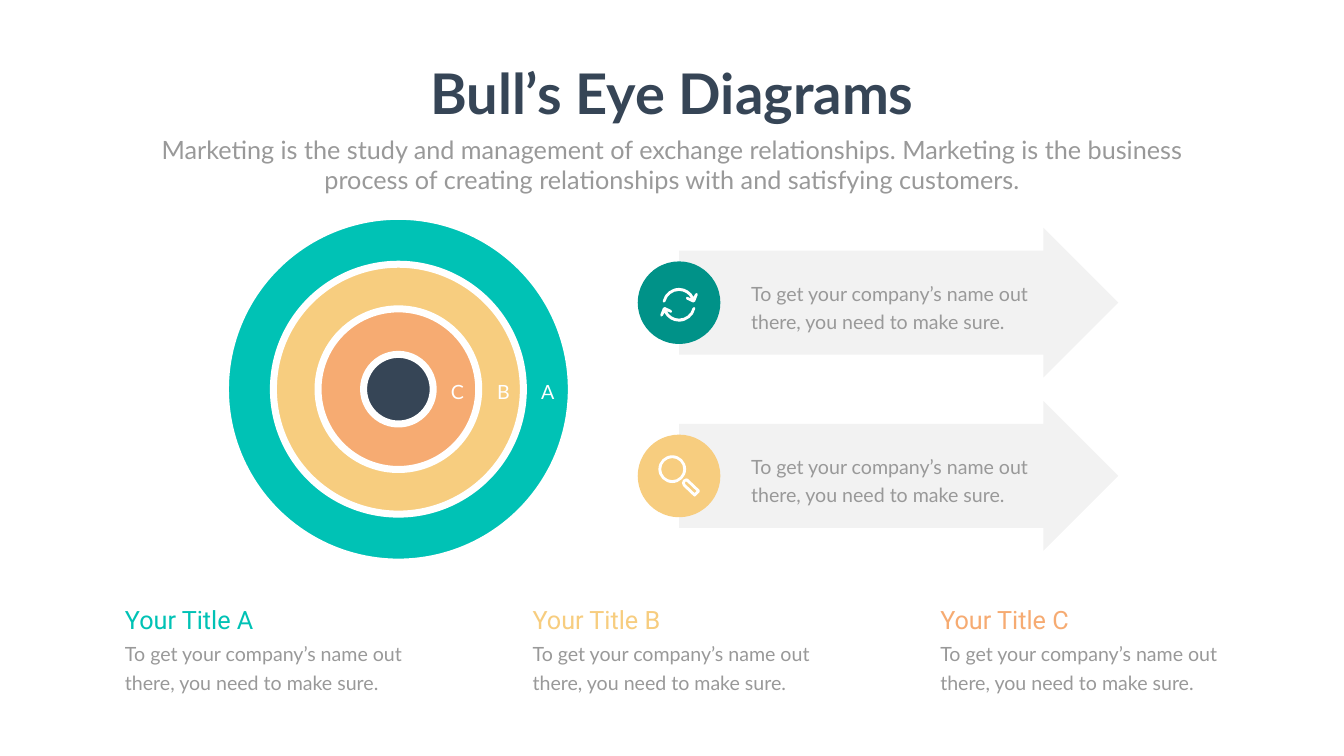
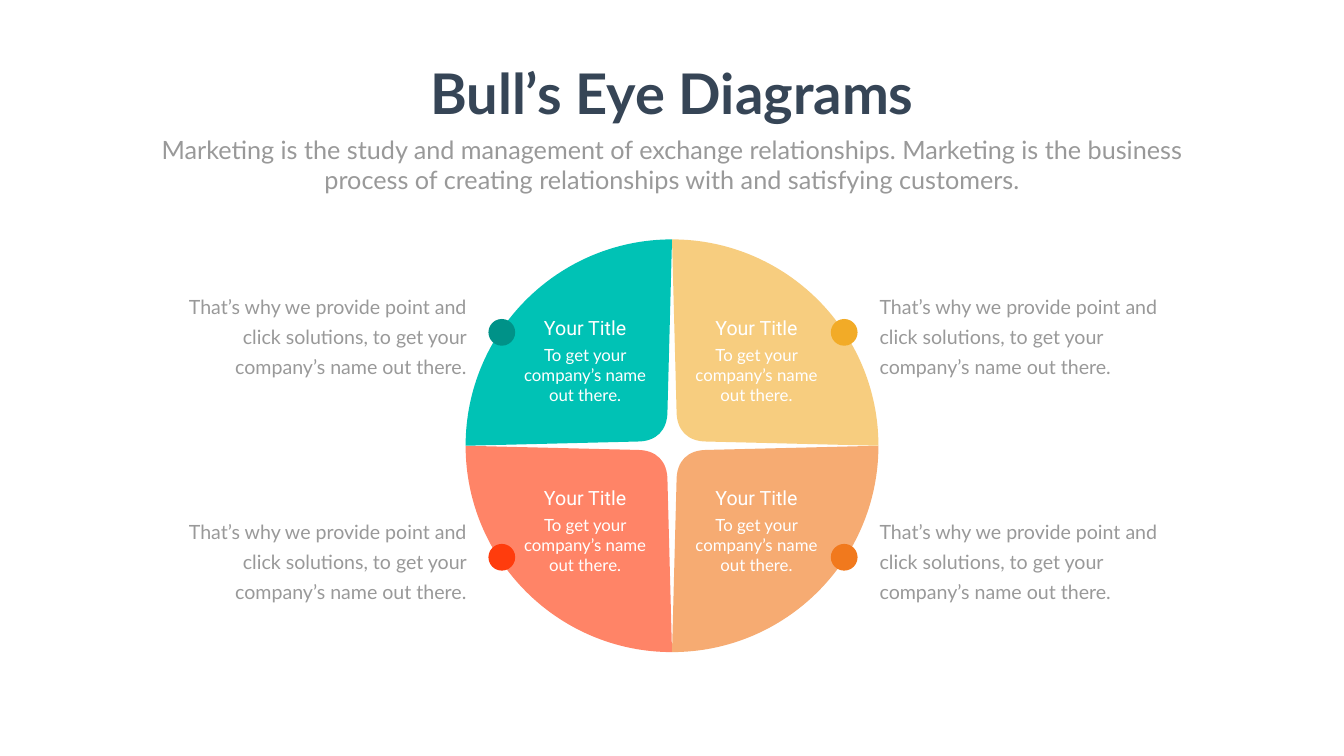
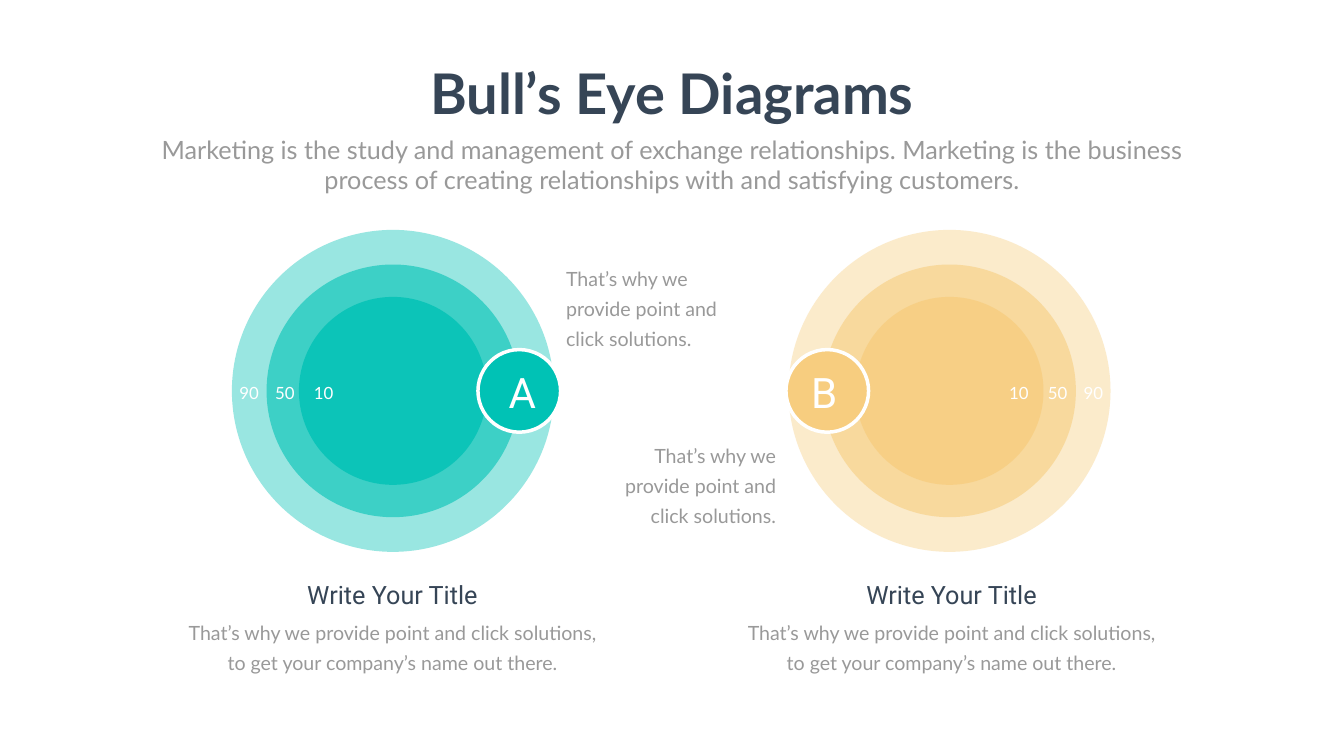
from dataclasses import dataclass
from typing import NamedTuple, Optional

from lxml.etree import Element, SubElement
from pptx import Presentation
from pptx.dml.color import RGBColor
from pptx.enum.shapes import MSO_SHAPE as SHAPE
from pptx.enum.text import MSO_ANCHOR as ANCHOR, MSO_AUTO_SIZE as AUTO, PP_ALIGN as ALIGN
from pptx.oxml.ns import qn
from pptx.util import Pt

TEAL, SAND, PEACH, CORAL = "00C2B5", "F7CD7F", "F6AB72", "FF8467"
DARK_TEAL, NAVY, GRAY, WHITE = "009288", "364556", "999999", "FFFFFF"
TITLE = "Bull’s Eye Diagrams"
SUBTITLE = (
    "Marketing is the study and management of exchange relationships. Marketing is the "
    "business process of creating relationships with and satisfying customers."
)
NAME_OUT = "To get your company’s name out there, you need to make sure."
SOLUTIONS = "That’s why we provide point and click solutions"
SOLUTIONS_LONG = f"{SOLUTIONS}, to get your company’s name out there."
TIGHT, LOOSE = 40.8, 43


class Box(NamedTuple):
    x: float
    y: float
    w: float
    h: float


class Contour(NamedTuple):
    start: tuple
    segments: list


@dataclass
class Style:
    size: float
    color: str
    font: str = "Lato"
    bold: bool = False


@dataclass
class Ring:
    diameter: float
    color: str


@dataclass
class Quadrant:
    side: int
    row: int
    fill: str
    dot: str


@dataclass
class Target:
    letter: str
    color: str
    center: float
    side: int
    badge: float
    caption: float
    number_width: float


BODY = Style(28, GRAY)

QUARTER = Contour((0, -294.8), [
    (-162.7, -294.8, -294.8, -162.7, -294.8, 0),
    (-49.7, -6),
    (-22.3, -6, -6.5, -22, -6.5, -49.3),
])
CYCLE_ARROW = Contour((25.9, -16.9), [
    (24.5, -16.9, 23.8, -16.9, 23, -15.5),
    (20.9, -11.2),
    (17.3, -18.4, 9.4, -24.1, 0, -24.1),
    (-10.8, -24.1, -20.9, -16.2, -23, -6.1),
    (-23.8, -4.7, -23, -4, -21.6, -3.2),
    (-20.2, -3.2, -19.4, -4, -19.4, -4.7),
    (-17.3, -13.3, -9.4, -19.8, 0, -19.8),
    (7.2, -19.8, 14.4, -15.5, 17.3, -9),
    (12.2, -11.2),
    (11.5, -11.9, 10.1, -11.2, 10.1, -9.7),
    (9.4, -9, 10.1, -7.6, 10.8, -7.6),
    (20.2, -3.2),
    (21.6, -3.2, 22.3, -4, 23, -4.7),
    (26.6, -14),
    (27.4, -14.8, 26.6, -16.2, 25.9, -16.9),
])
HANDLE = [
    Contour((10.1, 7.9), [
        (9.4, 7.9, 8.9, 8.2, 8.6, 8.6),
        (7.9, 9.4, 7.9, 10.8, 8.6, 11.5),
        (22.3, 24.5),
        (25.2, 21.6),
        (11.5, 8.6),
        (11.5, 7.9, 10.8, 7.9, 10.1, 7.9),
    ]),
    Contour((22.3, 29.5), [
        (21.6, 29.5, 20.9, 29.5, 20.9, 28.8),
        (5.8, 14.4),
        (3.6, 12.2, 3.6, 7.9, 5.8, 5.8),
        (7.2, 4.3, 8.6, 3.6, 10.1, 3.6),
        (12.2, 3.6, 13.7, 4.3, 14.4, 5.8),
        (29.5, 20.2),
        (30.2, 20.9, 30.2, 22.3, 29.5, 23),
        (23.8, 28.8),
        (23, 29.5, 23, 29.5, 22.3, 29.5),
    ]),
]


def round_contour(r: float) -> Contour:
    k = 0.55 * r
    return Contour((0, -r), [
        (-k, -r, -r, -k, -r, 0),
        (-r, k, -k, r, 0, r),
        (k, r, r, k, r, 0),
        (r, -k, k, -r, 0, -r),
    ])


LENS = [round_contour(15.8), round_contour(19.8)]


def rgb(color: str) -> RGBColor:
    return RGBColor.from_string(color)


def paint(sp, fill: str, alpha: int = 100, line: Optional[str] = None, width: float = 0) -> None:
    sp.shadow.inherit = False
    sp.fill.solid()
    sp.fill.fore_color.rgb = rgb(fill)
    if alpha < 100:
        clr = sp.element.spPr.find(qn("a:solidFill"))[0]
        SubElement(clr, qn("a:alpha")).set("val", str(alpha * 1000))
    if line:
        sp.line.color.rgb = rgb(line)
        sp.line.width = Pt(width)
    else:
        sp.line.fill.background()


def preset(slide, kind, box: Box, fill: str, **look):
    sp = slide.shapes.add_shape(kind, *map(Pt, box))
    paint(sp, fill, **look)
    return sp


def circle(slide, cx: float, cy: float, d: float, fill: str, **look) -> None:
    preset(slide, SHAPE.OVAL, Box(cx - d / 2, cy - d / 2, d, d), fill, **look)


def bend(sp, contours: list) -> None:
    lines = iter(list(sp.element.iter(qn("a:lnTo"))))
    for contour in contours:
        for seg in contour.segments:
            group = [next(lines) for _ in range(len(seg) // 2)]
            if len(group) == 3:
                curve = Element(qn("a:cubicBezTo"))
                group[0].addprevious(curve)
                for ln in group:
                    curve.append(ln[0])
                    ln.getparent().remove(ln)


def outline(slide, contours: list, cx: float, cy: float, fill: str, sx: int = 1, sy: int = 1) -> None:
    builder = None
    for contour in contours:
        pairs = [contour.start]
        for seg in contour.segments:
            pairs += zip(seg[::2], seg[1::2])
        points = [(Pt(cx + sx * x), Pt(cy + sy * y)) for x, y in pairs]
        if builder is None:
            builder = slide.shapes.build_freeform(*points[0])
        else:
            builder.move_to(*points[0])
        builder.add_line_segments(points[1:], close=False)
    sp = builder.convert_to_shape()
    bend(sp, contours)
    paint(sp, fill)


def write(tf, content: str, style: Style, align, spacing: Optional[float] = None) -> None:
    tf.text = content
    tf.auto_size = AUTO.SHAPE_TO_FIT_TEXT
    tf.vertical_anchor = ANCHOR.TOP
    p = tf.paragraphs[0]
    p.alignment = align
    if spacing:
        p.line_spacing = Pt(spacing)
    font = p.runs[0].font
    font.name, font.size, font.bold = style.font, Pt(style.size), style.bold
    font.color.rgb = rgb(style.color)


def text(slide, box: Box, content: str, style: Style = BODY, align=ALIGN.LEFT,
         spacing: Optional[float] = None) -> None:
    tf = slide.shapes.add_textbox(*map(Pt, box)).text_frame
    tf.word_wrap = True
    write(tf, content, style, align, spacing)


def label(slide, cx: float, y: float, w: float, h: float, content: str, style: Style,
          spacing: Optional[float] = None) -> None:
    text(slide, Box(cx - w / 2, y, w, h), content, style, ALIGN.CENTER, spacing)


def new_slide(prs):
    slide = prs.slides.add_slide(prs.slide_layouts[5])
    title = slide.shapes.title
    title.left, title.top, title.width, title.height = map(Pt, Box(600.5, 80.6, 718.6, 104.4))
    write(title.text_frame, TITLE, Style(80, NAVY, bold=True), ALIGN.CENTER)
    title.text_frame.word_wrap = False
    text(slide, Box(210.2, 187.9, 1499, 94.3), SUBTITLE, Style(36, GRAY), ALIGN.CENTER)
    return slide


def cycle_icon(slide, cx: float, cy: float) -> None:
    for sign in (1, -1):
        outline(slide, [CYCLE_ARROW], cx, cy, WHITE, sign, sign)


def search_icon(slide, cx: float, cy: float) -> None:
    outline(slide, HANDLE, cx, cy, WHITE)
    outline(slide, LENS, cx - 9.7, cy - 9.7, WHITE)


def rings_slide(prs) -> None:
    slide = new_slide(prs)
    for i, (letter, color) in enumerate(zip("ABC", (TEAL, SAND, PEACH))):
        x = 171.4 + 582.2 * i
        text(slide, Box(x, 906.5, 411.8, 78.5), NAME_OUT, spacing=TIGHT)
        text(slide, Box(x, 859.7, 411.8, 51), f"Your Title {letter}", Style(36, color, "Roboto"))

    for ring in (Ring(494, TEAL), Ring(357, SAND), Ring(229.5, PEACH), Ring(99.5, NAVY)):
        circle(slide, 569, 556, ring.diameter, ring.color, line=WHITE, width=10)
    for letter, cx in zip("CBA", (653.4, 718.9, 782.3)):
        label(slide, cx, 539.3, 49.7, 41, letter, Style(28, WHITE))

    for i, (color, icon) in enumerate(((DARK_TEAL, cycle_icon), (SAND, search_icon))):
        x, y = 969.8, 325.5 + 247.5 * i
        arrow = preset(slide, SHAPE.RIGHT_ARROW, Box(x, y, 627.3, 213.8), "808080", alpha=10)
        arrow.adjustments[0], arrow.adjustments[1] = 0.696, 0.5
        cy = y + 106.9
        circle(slide, x, cy, 118, color)
        icon(slide, x, cy + 3 * (1 - i))
        text(slide, Box(1065.6, y + 66, 411.8, 78.5), NAME_OUT, spacing=TIGHT)


def quadrants_slide(prs) -> None:
    slide = new_slide(prs)
    quadrants = [
        Quadrant(-1, 1, CORAL, "FF3C0D"),
        Quadrant(-1, 0, TEAL, DARK_TEAL),
        Quadrant(1, 1, PEACH, "F1791D"),
        Quadrant(1, 0, SAND, "F2AB27"),
    ]
    for q in quadrants:
        outline(slide, [QUARTER], 959.8, 636.8, q.fill, -q.side, 1 - 2 * q.row)
    for q in quadrants:
        cx, y = 958 + 122.4 * q.side, 447.8 + 242.6 * q.row
        label(slide, cx, y + 41, 189.4, 94.3, "To get your company’s name out there.", Style(24, WHITE))
        label(slide, cx, y, 189.4, 41, "Your Title", Style(28, WHITE, "Roboto"))
        circle(slide, 961.2 + 244.5 * q.side, 474.8 + 321.3 * q.row, 38.2, q.dot)
        x, align = (1249.2, ALIGN.LEFT) if q.side > 0 else (208.1, ALIGN.RIGHT)
        text(slide, Box(x, 408.2 + 321.8 * q.row, 465.1, 132.5), SOLUTIONS_LONG, align=align, spacing=LOOSE)


def targets_slide(prs) -> None:
    slide = new_slide(prs)
    cy = 558.4
    targets = [
        Target("A", TEAL, 561.2, 1, 741.6, 560.5, 52.6),
        Target("B", SAND, 1356.1, -1, 1181.5, 1359, 62.6),
    ]
    for t in targets:
        for diameter, alpha in ((460, 40), (361, 60), (268.5, 80)):
            circle(slide, t.center, cy, diameter, t.color, alpha=alpha)
        for number, offset in (("10", 99), ("50", 154.5), ("90", 205.5)):
            label(slide, t.center - t.side * offset, 542.9, t.number_width, 36, number, Style(24, WHITE))
        circle(slide, t.badge, cy, 118, t.color, line=WHITE, width=5)
        label(slide, t.badge + 4.3 * t.side, 520.6, 61.9, 79.9, t.letter, Style(60, WHITE, "Roboto"))
        label(slide, t.caption, 874.1, 615.6, 89.3, SOLUTIONS_LONG, BODY, LOOSE)
        label(slide, t.caption, 823.7, 411.8, 51, "Write Your Title", Style(36, NAVY, "Roboto"))
    for x, y, align in ((801.4, 367.9, ALIGN.LEFT), (864, 621.4, ALIGN.RIGHT)):
        text(slide, Box(x, y, 251.3, 132.5), f"{SOLUTIONS}.", align=align, spacing=LOOSE)


def main() -> None:
    prs = Presentation()
    prs.slide_width, prs.slide_height = Pt(1919.5), Pt(1080)
    rings_slide(prs)
    quadrants_slide(prs)
    targets_slide(prs)
    prs.save("out.pptx")


if __name__ == "__main__":
    main()
